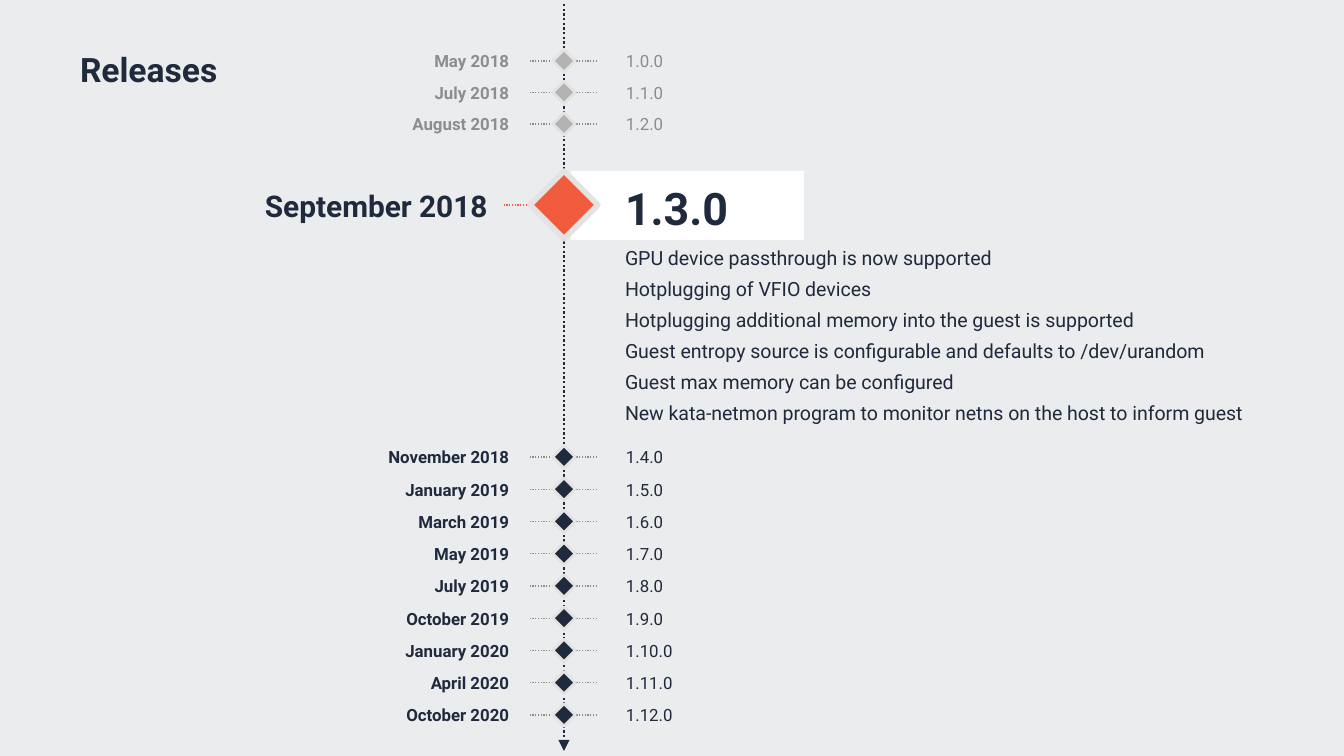
from lxml import etree
from pptx import Presentation
from pptx.dml.color import RGBColor
from pptx.enum import dml, shapes, text
from pptx.oxml.ns import qn
from pptx.util import Pt

NAVY, GREY, SILVER = "1F2A3D", "8D8D8D", "B3B3B3"
ORANGE, EDGE, WHITE, BACKDROP = "F15B3E", "E3E3E3", "FFFFFF", "EBECED"
FONT = "Roboto"

# date, date width, version, version width
PAST = [
    ("May 2018", 86, "1.0.0", 48),
    ("July 2018", 85, "1.1.0", 48),
    ("August 2018", 108, "1.2.0", 48),
]
LATER = [
    ("November 2018", 132, "1.4.0", 48),
    ("January 2019", 115, "1.5.0", 48),
    ("March 2019", 132, "1.6.0", 48),
    ("May 2019", 125, "1.7.0", 48),
    ("July 2019", 125, "1.8.0", 48),
    ("October 2019", 125, "1.9.0", 48),
    ("January 2020", 125, "1.10.0", 60),
    ("April 2020", 125, "1.11.0", 58),
    ("October 2020", 125, "1.12.0", 67),
]
CURRENT_DATE, CURRENT_VERSION = "September 2018", "1.3.0"
FEATURES = [
    "GPU device passthrough is now supported",
    "Hotplugging of VFIO devices",
    "Hotplugging additional memory into the guest is supported",
    "Guest entropy source is configurable and defaults to /dev/urandom",
    "Guest max memory can be configured",
    "New kata-netmon program to monitor netns on the host to inform guest",
]

WIDTH, HEIGHT = 1344, 756
AXIS_X, DATE_RIGHT, VERSION_LEFT = 564, 514, 621
ROW_HEIGHT, ROW_INSETS = 34, (5, 7, 5, 7)
CURRENT_Y = 205


def px(n):
    return round(n * 914400 / 134.4)


def rgb(color):
    return RGBColor.from_string(color)


prs = Presentation()
prs.slide_width, prs.slide_height = px(WIDTH), px(HEIGHT)
slide = prs.slides.add_slide(prs.slide_layouts[5])
slide.background.fill.solid()
slide.background.fill.fore_color.rgb = rgb(BACKDROP)


def set_frame(frame, insets, **options):
    sides = ("margin_left", "margin_top", "margin_right", "margin_bottom")
    for side, inset in zip(sides, insets):
        setattr(frame, side, px(inset))
    for name, value in options.items():
        setattr(frame, name, value)


def write(paragraph, words, size, color=NAVY, bold=False, align=text.PP_ALIGN.LEFT):
    paragraph.alignment = align
    run = paragraph.add_run()
    run.text = words
    style = {"name": FONT, "size": Pt(size), "bold": bold}
    for name, value in style.items():
        setattr(run.font, name, value)
    run.font.color.rgb = rgb(color)


def text_box(left, top, width, height, insets, **options):
    frame = slide.shapes.add_textbox(*map(px, (left, top, width, height))).text_frame
    set_frame(frame, insets, **options)
    return frame


def rectangle(left, top, width, height, color):
    box = slide.shapes.add_shape(
        shapes.MSO_SHAPE.RECTANGLE, *map(px, (left, top, width, height)))
    box.shadow.inherit = False
    box.fill.solid()
    box.fill.fore_color.rgb = rgb(color)
    box.line.fill.background()
    return box


def diamond(y, side, color, edge_width):
    mark = rectangle(AXIS_X - side / 2, y - side / 2, side, side, color)
    mark.rotation = 45
    mark.line.color.rgb = rgb(EDGE)
    mark.line.width = Pt(edge_width)


def dotted_line(x1, y1, x2, y2, color, width, arrow=False):
    line = slide.shapes.add_connector(
        shapes.MSO_CONNECTOR.STRAIGHT, *map(px, (x1, y1, x2, y2)))
    line.line.color.rgb = rgb(color)
    line.line.width = Pt(width)
    line.line.dash_style = dml.MSO_LINE.ROUND_DOT
    properties = line._element.spPr
    if arrow:
        etree.SubElement(properties.find(qn("a:ln")), qn("a:tailEnd"), type="triangle")
    etree.SubElement(properties, qn("a:effectLst"))


def release_rows(releases, first_y, step, text_color, mark_color):
    for row, (date, date_width, version, version_width) in enumerate(releases):
        y = first_y + row * step
        top = y - ROW_HEIGHT / 2
        dates = text_box(DATE_RIGHT - date_width, top, date_width, ROW_HEIGHT,
                         ROW_INSETS, word_wrap=False)
        write(dates.paragraphs[0], date, 9, text_color, True, text.PP_ALIGN.RIGHT)
        versions = text_box(VERSION_LEFT, top, version_width, ROW_HEIGHT,
                            ROW_INSETS, word_wrap=False)
        write(versions.paragraphs[0], version, 9, text_color)
        dotted_line(597, y, 530, y, GREY, 0.75)
        diamond(y, 16, mark_color, 1.5)


title = slide.shapes.title
title.left, title.top, title.width, title.height = map(px, (67, 13, 301, 113))
set_frame(title.text_frame, (13, 13, 13, 13), word_wrap=True,
          vertical_anchor=text.MSO_ANCHOR.MIDDLE, auto_size=text.MSO_AUTO_SIZE.NONE)
write(title.text_frame.paragraphs[0], "Releases", 18, bold=True)

dotted_line(AXIS_X, 4, AXIS_X, 751, NAVY, 1.25, arrow=True)
release_rows(LATER, 457, 32.25, NAVY, NAVY)
release_rows(PAST, 61, 31.5, GREY, SILVER)

dotted_line(571, CURRENT_Y, 504, CURRENT_Y, ORANGE, 0.75)
rectangle(571, 171, 233, 69, WHITE)
details = text_box(612, 168, 649, 331, (13, 13, 13, 13), word_wrap=True)
write(details.paragraphs[0], CURRENT_VERSION, 24, bold=True)
for number, feature in enumerate(FEATURES):
    paragraph = details.add_paragraph()
    paragraph.space_before = Pt(4 if number else 6)
    write(paragraph, feature, 10.5)
current = text_box(238, 167, 280, 77, (27, 13, 13, 13), word_wrap=True,
                   vertical_anchor=text.MSO_ANCHOR.MIDDLE)
write(current.paragraphs[0], CURRENT_DATE, 16, bold=True)
diamond(CURRENT_Y, 48, ORANGE, 3)

prs.save("out.pptx")
